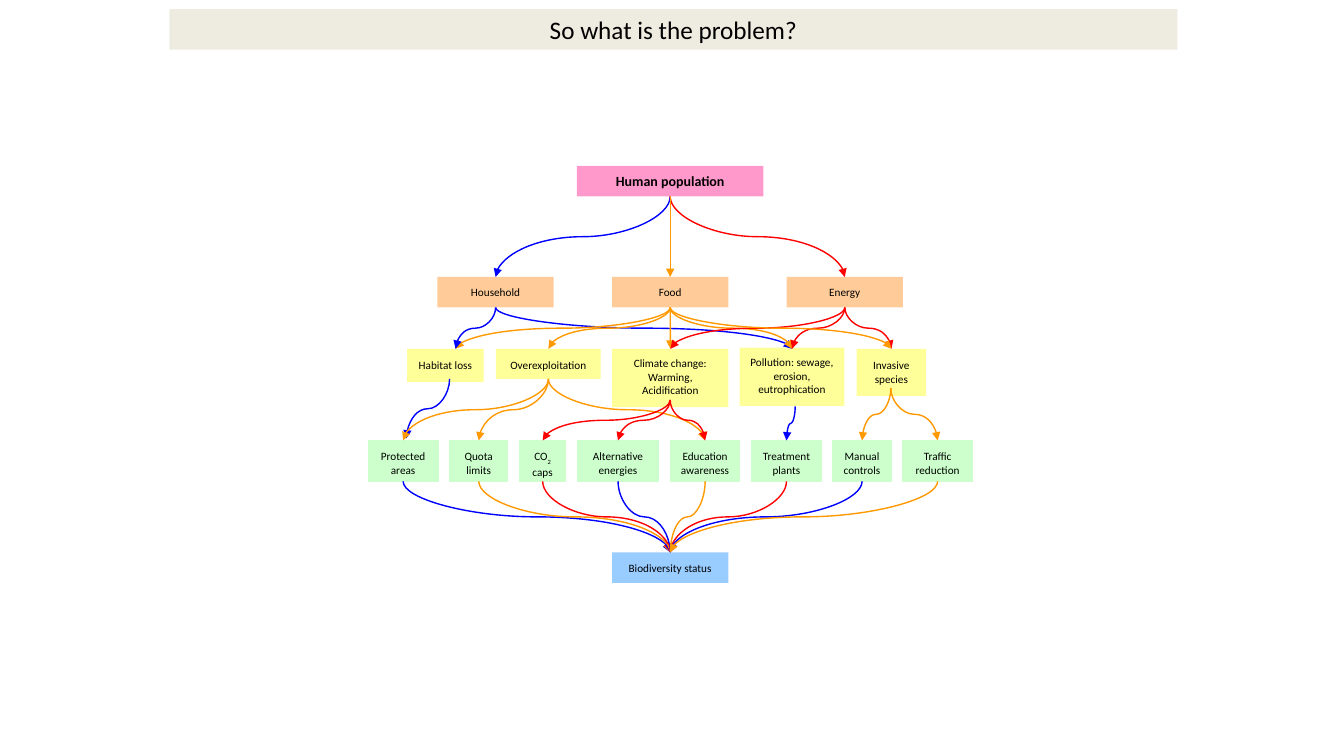
import pptx
import pptx.dml.color
import pptx.enum.shapes
import pptx.enum.text
import pptx.util
from dataclasses import dataclass
from lxml import etree
from pptx.util import Cm

MIDDLE = pptx.enum.text.MSO_ANCHOR.MIDDLE
TOP = pptx.enum.text.MSO_ANCHOR.TOP
CONNECTOR = pptx.enum.shapes.MSO_CONNECTOR


@dataclass(frozen=True)
class Theme:
    font: str = "Calibri"
    title_size: int = 18
    root_size: int = 10
    label_size: int = 8
    text: str = "000000"
    title_band: str = "EEECE1"
    root: str = "FF99CC"
    sector: str = "FFCC99"
    threat: str = "FFFF99"
    measure: str = "CCFFCC"
    status: str = "99CCFF"
    blue: str = "0000FF"
    orange: str = "FF9900"
    red: str = "FF0000"


THEME = Theme()
TITLE = "So what is the problem?"

# Lengths in centimetres
AXIS = 16.89
BAR_HEIGHT = 0.77
SECTOR_WIDTH, SECTOR_STEP, SECTOR_TOP = 2.93, 4.4, 6.98
MEASURE_LEFT, MEASURE_TOP, MEASURE_HEIGHT, MEASURE_GAP = 9.28, 11.1, 1.03, 0.29

SECTORS = ["Household", "Food", "Energy"]
# text, left, top, width, height, top inset, bottom inset, anchor
THREATS = [
    ("Habitat loss", 10.26, 8.79, 1.93, 0.84, 0.23, 0.25, TOP),
    ("Overexploitation", 12.5, 8.79, 2.64, 0.76, 0.25, 0.2, TOP),
    ("Climate change: Warming, Acidification", 15.43, 8.79, 2.93, 1.47, 0.2, 0.25, TOP),
    ("Pollution: sewage, erosion, eutrophication", 18.64, 8.76, 2.64, 1.47, 0.2, 0.25, MIDDLE),
    ("Invasive species", 21.59, 8.79, 1.75, 1.19, 0.25, 0.25, TOP),
]
MEASURES = [
    ("Protected areas", 1.76), ("Quota limits", 1.47), ("CO2 caps", 1.17),
    ("Alternative energies", 2.05), ("Education awareness", 1.76),
    ("Treatment plants", 1.76), ("Manual controls", 1.47), ("Traffic reduction", 1.76),
]
ROOT, STATUS = "Human population", "Biodiversity status"
HABITAT, OVERUSE, CLIMATE, POLLUTION, INVASIVE = [threat[0] for threat in THREATS]

# source, colour, targets
LINKS = [
    (ROOT, THEME.blue, ["Household"]),
    (ROOT, THEME.red, ["Energy"]),
    (ROOT, THEME.orange, ["Food"]),
    (HABITAT, THEME.blue, ["Protected areas"]),
    (OVERUSE, THEME.orange, ["Protected areas", "Quota limits", "Education awareness"]),
    (CLIMATE, THEME.red, ["CO2 caps", "Alternative energies", "Education awareness"]),
    (POLLUTION, THEME.blue, ["Treatment plants"]),
    (INVASIVE, THEME.orange, ["Manual controls", "Traffic reduction"]),
    ("Household", THEME.blue, [POLLUTION]),
    ("Food", THEME.orange, [HABITAT, OVERUSE, CLIMATE, POLLUTION]),
    ("Energy", THEME.red, [INVASIVE, POLLUTION, CLIMATE]),
    ("Household", THEME.blue, [HABITAT]),
    ("Food", THEME.orange, [INVASIVE]),
]
MEASURE_COLOURS = [THEME.blue, THEME.orange, THEME.red]
LINKS += [(measure, MEASURE_COLOURS[i % 3], [STATUS])
          for i, (measure, _) in enumerate(MEASURES)]

# Where links leave or meet a box away from the middle of its side
EXITS = {HABITAT: (11.33, 9.55), CLIMATE: (16.89, 10.08),
         POLLUTION: (20.04, 10.24), INVASIVE: (22.45, 9.78)}
ENTRIES = {HABITAT: (11.48, 8.79), POLLUTION: (19.96, 8.79)}
LINK_ENTRIES = {(HABITAT, "Protected areas"): (10.24, 11.05)}


def rgb(colour):
    return pptx.dml.color.RGBColor.from_string(colour)


def paint(shape, colour):
    shape.fill.solid()
    shape.fill.fore_color.rgb = rgb(colour)


def format_text(frame, size, bold=False, anchor=MIDDLE):
    frame.word_wrap = True
    frame.auto_size = pptx.enum.text.MSO_AUTO_SIZE.NONE
    frame.vertical_anchor = anchor
    paragraph = frame.paragraphs[0]
    paragraph.alignment = pptx.enum.text.PP_ALIGN.CENTER
    for run in paragraph.runs:
        run.font.name = THEME.font
        run.font.size = pptx.util.Pt(size)
        run.font.bold = bold
        run.font.color.rgb = rgb(THEME.text)


def add_box(slide, text, left, top, width, height, colour, size=THEME.label_size,
            bold=False, anchor=MIDDLE, inset_top=0.25, inset_bottom=0.25, outlined=False):
    box = slide.shapes.add_shape(pptx.enum.shapes.MSO_SHAPE.RECTANGLE,
                                 Cm(left), Cm(top), Cm(width), Cm(height))
    box.shadow.inherit = False
    paint(box, colour)
    if outlined:
        box.line.color.rgb = rgb(colour)
        box.line.width = pptx.util.Pt(0.75)
    else:
        box.line.fill.background()
    frame = box.text_frame
    frame.margin_left = frame.margin_right = Cm(0.25)
    frame.margin_top, frame.margin_bottom = Cm(inset_top), Cm(inset_bottom)
    if text.startswith("CO2"):
        frame.text = "CO"
        for part in ("2", text[3:]):
            frame.paragraphs[0].add_run().text = part
        frame.paragraphs[0].runs[1].font._element.set("baseline", "-30000")
    else:
        frame.text = text
    format_text(frame, size, bold, anchor)
    return box


def add_link(slide, boxes, source, target, colour):
    """Draw a downward arrow: straight on the centre axis, otherwise an S-curve."""
    upper, lower = boxes[source], boxes[target]
    x1, y1 = [Cm(v) for v in EXITS[source]] if source in EXITS else (
        upper.left + upper.width // 2, upper.top + upper.height)
    entry = LINK_ENTRIES.get((source, target), ENTRIES.get(target))
    x2, y2 = [Cm(v) for v in entry] if entry else (
        lower.left + lower.width // 2, lower.top)
    if abs(x2 - x1) < Cm(0.05):
        link = slide.shapes.add_connector(CONNECTOR.STRAIGHT, x1, y1, x2, y2)
        link.begin_connect(upper, 2)
        link.end_connect(lower, 0)
    else:
        # The preset curve runs sideways, so lay it out sideways and turn it
        x_mid, y_mid = (x1 + x2) // 2, (y1 + y2) // 2
        half_drop, half_span = (y2 - y1) // 2, abs(x2 - x1) // 2
        if x2 > x1:
            half_drop = -half_drop
        link = slide.shapes.add_connector(
            CONNECTOR.CURVE, x_mid - half_drop, y_mid - half_span,
            x_mid + half_drop, y_mid + half_span)
        turn = 270 if x2 > x1 else 90
        link._element.spPr.xfrm.set("rot", str(turn * 60000))
    link.line.color.rgb = rgb(colour)
    link.line.width = pptx.util.Pt(1)
    arrowhead = etree.SubElement(link.line._get_or_add_ln(), pptx.oxml.ns.qn("a:tailEnd"))
    arrowhead.set("type", "triangle")
    etree.SubElement(link._element.spPr, pptx.oxml.ns.qn("a:effectLst"))


def main():
    deck = pptx.Presentation()
    deck.slide_width, deck.slide_height = Cm(33.87), Cm(19.05)
    slide = deck.slides.add_slide(deck.slide_layouts[5])

    title = slide.shapes.title
    title.left, title.top, title.width, title.height = Cm(4.27), Cm(0.23), Cm(25.4), Cm(1.02)
    paint(title, THEME.title_band)
    title.text_frame.text = TITLE
    format_text(title.text_frame, THEME.title_size)

    boxes = {}
    boxes[ROOT] = add_box(slide, ROOT, AXIS - 2.35, 4.18, 4.7, BAR_HEIGHT, THEME.root,
                          THEME.root_size, bold=True)
    for i, sector in enumerate(SECTORS):
        left = AXIS + (i - 1) * SECTOR_STEP - SECTOR_WIDTH / 2
        boxes[sector] = add_box(slide, sector, left, SECTOR_TOP, SECTOR_WIDTH,
                                BAR_HEIGHT, THEME.sector)
    for threat, left, top, width, height, inset_top, inset_bottom, anchor in THREATS:
        boxes[threat] = add_box(slide, threat, left, top, width, height, THEME.threat,
                                anchor=anchor, inset_top=inset_top, inset_bottom=inset_bottom)
    left = MEASURE_LEFT
    for measure, width in MEASURES:
        boxes[measure] = add_box(slide, measure, left, MEASURE_TOP, width, MEASURE_HEIGHT,
                                 THEME.measure, anchor=TOP, inset_top=0.23, outlined=True)
        left += width + MEASURE_GAP
    boxes[STATUS] = add_box(slide, STATUS, AXIS - SECTOR_WIDTH / 2, 13.92, SECTOR_WIDTH,
                            BAR_HEIGHT, THEME.status)

    for source, colour, targets in LINKS:
        for target in targets:
            add_link(slide, boxes, source, target, colour)

    deck.save("out.pptx")


if __name__ == "__main__":
    main()
